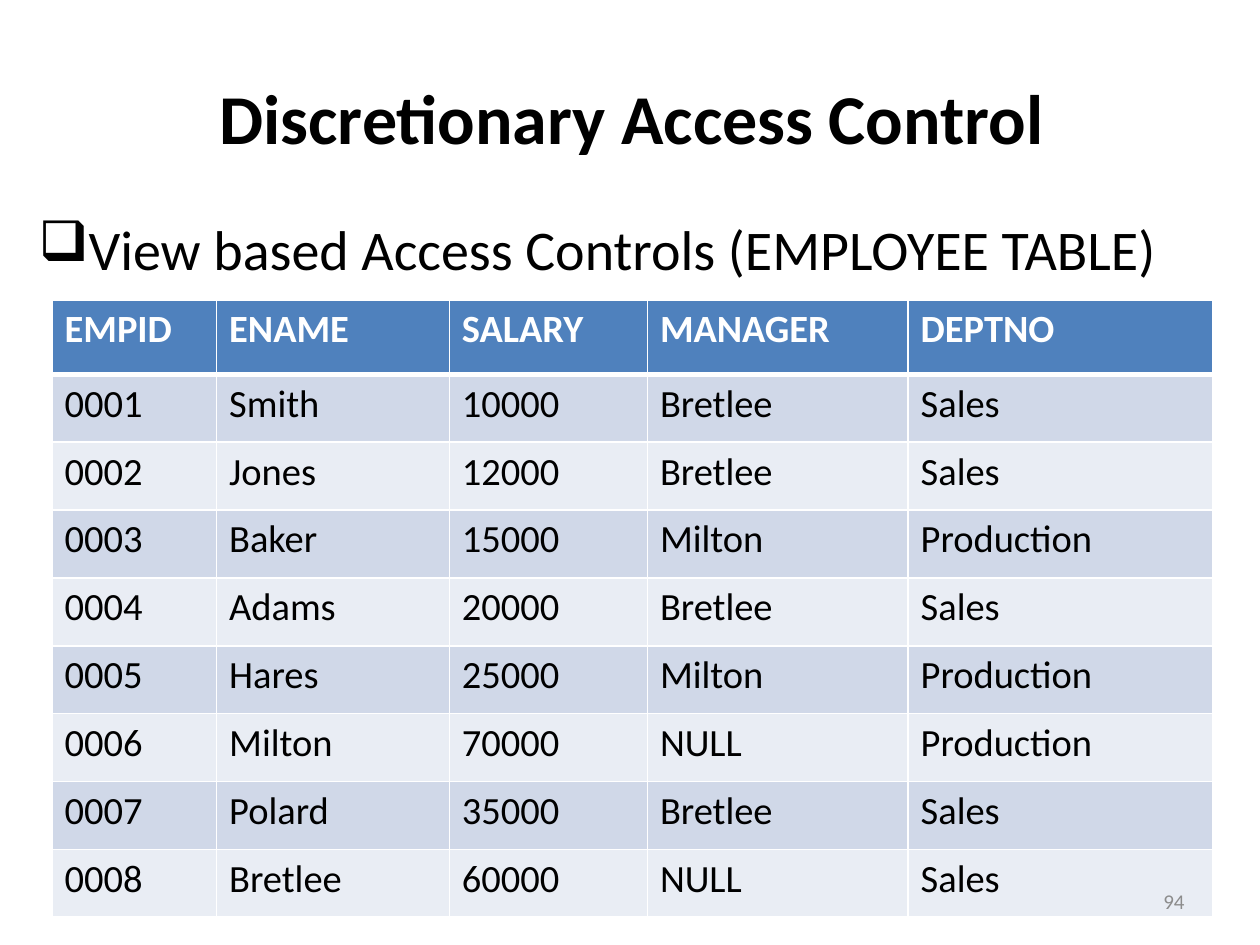
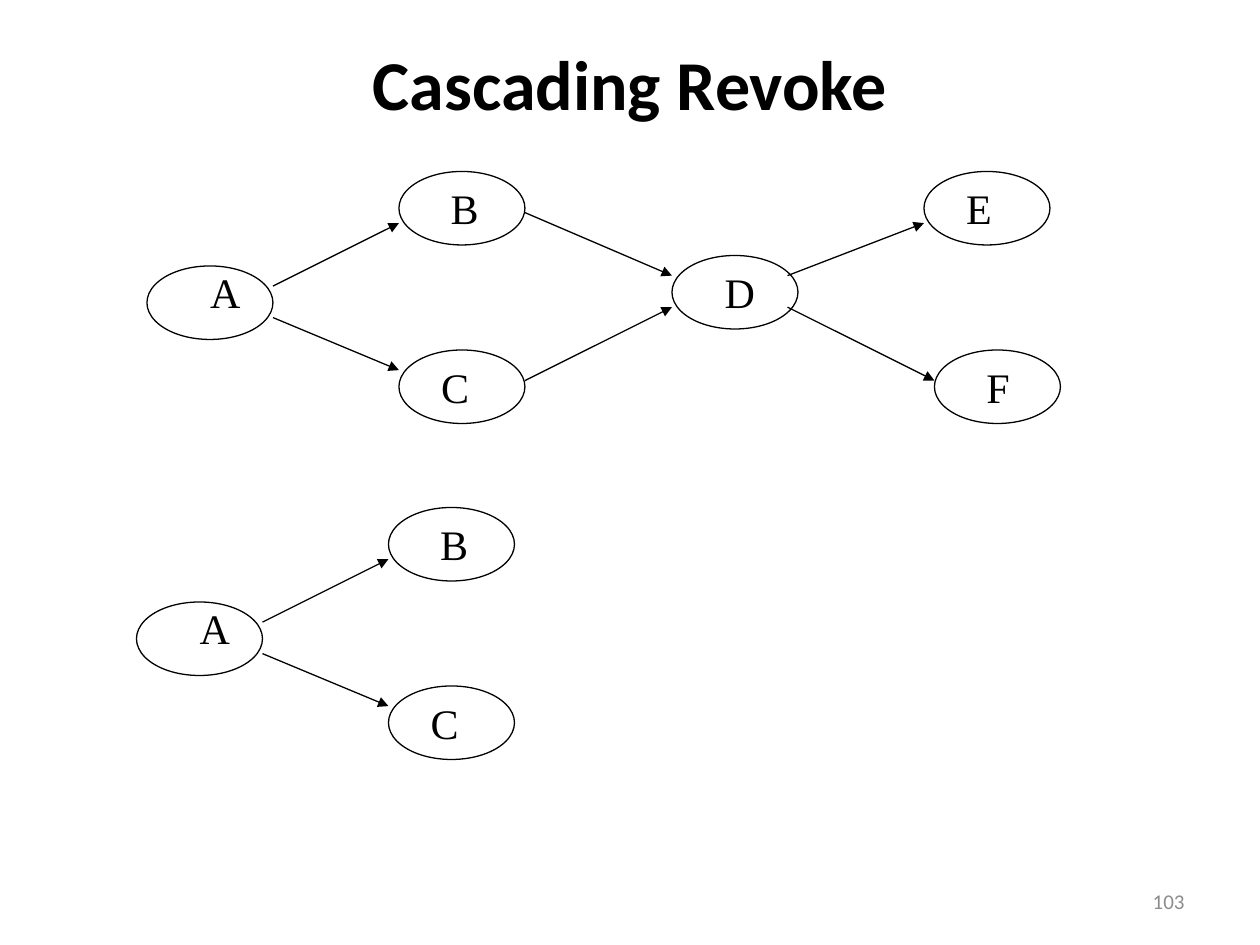
from dataclasses import dataclass

import pptx
import pptx.util
import pptx.dml.color
import pptx.enum.shapes
import pptx.enum.text
import pptx.oxml
import pptx.oxml.ns
from lxml import etree

Pt = pptx.util.Pt
qn = pptx.oxml.ns.qn
Align = pptx.enum.text.PP_ALIGN
Anchor = pptx.enum.text.MSO_ANCHOR


@dataclass(frozen=True)
class Theme:
    ink: str = "000000"
    paper: str = "FFFFFF"
    muted: str = "8C8C8C"
    header: str = "4F81BD"
    bands: tuple = ("D0D8E8", "E9EDF4")
    sans: str = "Calibri"
    serif: str = "Times New Roman"
    title_size: float = 40
    body_size: float = 32
    node_size: float = 24
    table_size: float = 22
    footer_size: float = 12
    line: float = 0.75
    grid_line: float = 1
    header_line: float = 3


def rgb(color):
    return pptx.dml.color.RGBColor.from_string(color)


class Deck:
    """Holds the style and the slide being drawn."""

    def __init__(self, theme):
        self.theme = theme
        self.file = pptx.Presentation()
        self.file.slide_width, self.file.slide_height = Pt(720), Pt(540)
        self.slide = None

    def start_slide(self, title, title_box, title_anchor, number):
        self.slide = self.file.slides.add_slide(self.file.slide_layouts[6])
        theme = self.theme
        self.text(title, title_box, theme.title_size, bold=True,
                  align=Align.CENTER, anchor=title_anchor)
        self.number = number

    def finish_slide(self):
        """Put the page number on top of everything else."""
        self.text(self.number, (516, 500.5, 168, 28.75), self.theme.footer_size,
                  color=self.theme.muted, align=Align.RIGHT, anchor=Anchor.MIDDLE)

    def style(self, paragraph, size, color, font, bold):
        for run in paragraph.runs:
            run.font.name, run.font.size, run.font.bold = font, Pt(size), bold
            run.font.color.rgb = rgb(color)

    def text(self, words, box, size, color=None, font=None, bold=False,
             align=Align.LEFT, anchor=Anchor.TOP, wrap=True):
        frame = self.slide.shapes.add_textbox(*map(Pt, box)).text_frame
        frame.text = words
        frame.word_wrap = wrap
        frame.vertical_anchor = anchor
        paragraph = frame.paragraphs[0]
        paragraph.alignment = align
        self.style(paragraph, size, color or self.theme.ink,
                   font or self.theme.sans, bold)
        return paragraph

    def bullet(self, words, box, mark, indent):
        paragraph = self.text(words, box, self.theme.body_size)
        properties = paragraph._p.get_or_add_pPr()
        properties.set("marL", str(Pt(indent)))
        properties.set("indent", str(-Pt(indent)))
        etree.SubElement(properties, qn("a:buChar")).set("char", mark)

    def cell_borders(self, cell, top, bottom):
        properties = cell._tc.get_or_add_tcPr()
        side = self.theme.grid_line
        widths = {"lnL": side, "lnR": side, "lnT": top, "lnB": bottom}
        for position, (edge, width) in enumerate(widths.items()):
            line = etree.Element(qn("a:" + edge), w=str(Pt(width)))
            fill = etree.SubElement(line, qn("a:solidFill"))
            etree.SubElement(fill, qn("a:srgbClr")).set("val", self.theme.paper)
            properties.insert(position, line)

    def table(self, rows, corner, widths, header_height, row_height):
        theme = self.theme
        heights = [header_height] + [row_height] * (len(rows) - 1)
        table = self.slide.shapes.add_table(
            len(rows), len(widths), *map(Pt, corner),
            Pt(sum(widths)), Pt(sum(heights))).table
        table.first_row = table.horz_banding = False
        for column, width in zip(table.columns, widths):
            column.width = Pt(width)
        for index, (values, height) in enumerate(zip(rows, heights)):
            table.rows[index].height = Pt(height)
            heading = index == 0
            fill = theme.header if heading else theme.bands[(index - 1) % 2]
            top = theme.header_line if index == 1 else theme.grid_line
            bottom = theme.header_line if heading else theme.grid_line
            for cell, value in zip(table.rows[index].cells, values):
                cell.text = value
                cell.fill.solid()
                cell.fill.fore_color.rgb = rgb(fill)
                self.style(cell.text_frame.paragraphs[0], theme.table_size,
                           theme.paper if heading else theme.ink,
                           theme.sans, heading)
                self.cell_borders(cell, top, bottom)

    def node(self, left, top):
        oval = self.slide.shapes.add_shape(
            pptx.enum.shapes.MSO_SHAPE.OVAL, Pt(left), Pt(top), Pt(72), Pt(42))
        oval.shadow.inherit = False
        oval.fill.background()
        oval.line.color.rgb = rgb(self.theme.ink)
        oval.line.width = Pt(self.theme.line)

    def arrow(self, *ends):
        arrow = self.slide.shapes.add_connector(
            pptx.enum.shapes.MSO_CONNECTOR.STRAIGHT, *map(Pt, ends))
        arrow.line.color.rgb = rgb(self.theme.ink)
        arrow.line.width = Pt(self.theme.line)
        etree.SubElement(arrow.line._get_or_add_ln(), qn("a:tailEnd")).set("type", "triangle")
        etree.SubElement(arrow._element.spPr, qn("a:effectLst"))

    def grant_graph(self, names, dx=0, dy=0):
        """Draw the named subjects and every grant between two of them."""
        for name in names:
            left, top, _, _, _ = SUBJECTS[name]
            self.node(left + dx, top + dy)
        for name in names:
            _, _, left, top, width = SUBJECTS[name]
            self.text(name, (left + dx, top + dy, width, 36), self.theme.node_size,
                      font=self.theme.serif, wrap=False)
        for (giver, taker), (x1, y1, x2, y2) in GRANTS.items():
            if giver in names and taker in names:
                self.arrow(x1 + dx, y1 + dy, x2 + dx, y2 + dy)


EMPLOYEES = [
    ("EMPID", "ENAME", "SALARY", "MANAGER", "DEPTNO"),
    ("0001", "Smith", "10000", "Bretlee", "Sales"),
    ("0002", "Jones", "12000", "Bretlee", "Sales"),
    ("0003", "Baker", "15000", "Milton", "Production"),
    ("0004", "Adams", "20000", "Bretlee", "Sales"),
    ("0005", "Hares", "25000", "Milton", "Production"),
    ("0006", "Milton", "70000", "NULL", "Production"),
    ("0007", "Polard", "35000", "Bretlee", "Sales"),
    ("0008", "Bretlee", "60000", "NULL", "Sales"),
]

# Subject: oval left and top, then label left, top and width
SUBJECTS = {
    "A": (84, 152, 113, 149, 31.7),
    "B": (228, 98, 250.5, 101, 30.4),
    "C": (228, 200, 245, 203, 30.4),
    "D": (384, 146, 407, 149, 31.7),
    "E": (528, 98, 545, 101, 29),
    "F": (534, 200, 556.5, 203, 27.8),
}

# Giver and taker: arrow start and end
GRANTS = {
    ("A", "B"): (156, 163.5, 228, 127.5),
    ("B", "D"): (300, 121.5, 384, 157.5),
    ("D", "E"): (450, 157.5, 528, 127.5),
    ("A", "C"): (156, 181.5, 228, 211.5),
    ("C", "D"): (300, 217.5, 384, 175.5),
    ("D", "F"): (450, 175.5, 534, 217.5),
}


def main():
    deck = Deck(Theme())

    # Employee table
    deck.start_slide("Discretionary Access Control", (29.5, 33, 663, 67),
                     Anchor.MIDDLE, "94")
    deck.bullet("View based Access Controls (EMPLOYEE TABLE)",
                (15, 119, 693, 52.5), "❑", 27)
    deck.table(EMPLOYEES, (29.8, 171.4), (94, 133, 113.2, 149, 174), 42.5, 38.8)
    deck.finish_slide()

    # Grants before and after the revoke
    deck.start_slide("Cascading Revoke", (36, 19.5, 648, 57.5), Anchor.TOP, "103")
    deck.grant_graph("ABCDEF")
    deck.grant_graph("ABC", dx=-6, dy=192)
    deck.finish_slide()

    deck.file.save("out.pptx")


if __name__ == "__main__":
    main()
